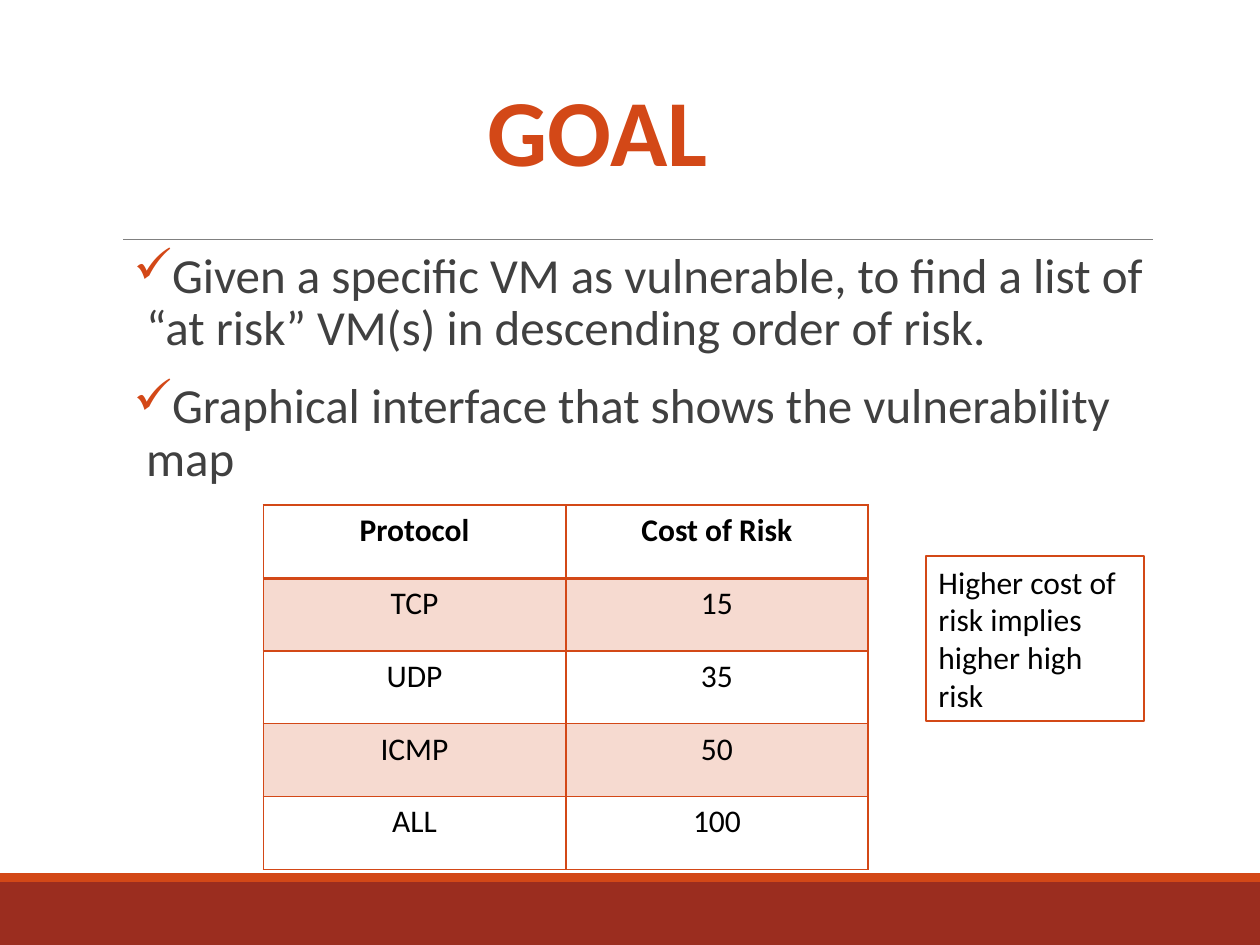
from typing import NamedTuple

from lxml import etree
from pptx import Presentation
from pptx.dml.color import RGBColor
from pptx.enum.shapes import MSO_CONNECTOR, MSO_SHAPE
from pptx.enum.text import MSO_ANCHOR, MSO_AUTO_SIZE, PP_ALIGN
from pptx.oxml.ns import qn
from pptx.util import Inches, Pt

RECT = MSO_SHAPE.RECTANGLE
LINE = MSO_CONNECTOR.STRAIGHT
LEFT, CENTER = PP_ALIGN.LEFT, PP_ALIGN.CENTER
TOP, MIDDLE = MSO_ANCHOR.TOP, MSO_ANCHOR.MIDDLE
GROW = MSO_AUTO_SIZE.SHAPE_TO_FIT_TEXT

ORANGE = RGBColor(0xD3, 0x48, 0x17)
RUST = RGBColor(0x9B, 0x2D, 0x1F)
GRAY = RGBColor(0x80, 0x80, 0x80)
DARK = RGBColor(0x40, 0x40, 0x40)
BLACK = RGBColor(0, 0, 0)
WHITE = RGBColor(0xFF, 0xFF, 0xFF)


class Box(NamedTuple):
    left: float
    top: float
    width: float
    height: float

    def emu(self) -> list[int]:
        return [Inches(side) for side in self]


class Style(NamedTuple):
    size: int
    color: RGBColor
    bold: bool = False
    align: PP_ALIGN = LEFT


class Band(NamedTuple):
    box: Box
    color: RGBColor


BANDS = [Band(Box(0, 7, 10, 0.5), RUST), Band(Box(0, 6.93, 10, 0.07), ORANGE)]
GOALS = [
    "Given a specific VM as vulnerable, to find a list of “at risk” VM(s) in descending order of risk.",
    "Graphical interface that shows the vulnerability map",
]
COSTS = [
    ("Protocol", "Cost of Risk"),
    ("TCP", "15"),
    ("UDP", "35"),
    ("ICMP", "50"),
    ("ALL", "100"),
]


def add_node(parent, tag: str, **attrs: str):
    return etree.SubElement(parent, qn(tag), attrs)


def write(para, text: str, style: Style) -> None:
    para.text = text
    para.alignment = style.align
    for run in para.runs:
        run.font.name = "Calibri"
        run.font.size = Pt(style.size)
        run.font.bold = style.bold
        run.font.color.rgb = style.color


def draw_rect(shapes, box: Box, color: RGBColor):
    shape = shapes.add_shape(RECT, *box.emu())
    shape.shadow.inherit = False
    shape.fill.solid()
    shape.fill.fore_color.rgb = color
    shape.line.fill.background()
    return shape


def draw_rule(shapes) -> None:
    rule = shapes.add_connector(LINE, Inches(0.98), Inches(1.9), Inches(9.15), Inches(1.9))
    rule.line.color.rgb = GRAY
    rule.line.width = Pt(0.5)
    add_node(rule._element.spPr, "a:effectLst")


def draw_title(shapes) -> None:
    frame = shapes.add_textbox(*Box(3.76, 0.52, 1.97, 1.01).emu()).text_frame
    frame.word_wrap = False
    frame.auto_size = GROW
    write(frame.paragraphs[0], "GOAL", Style(54, ORANGE, True, CENTER))


def draw_goals(shapes) -> None:
    frame = shapes.add_textbox(*Box(1.06, 1.94, 8.02, 1.95).emu()).text_frame
    frame.word_wrap = True
    frame.vertical_anchor = TOP
    frame.margin_left = frame.margin_right = 0
    for index, goal in enumerate(GOALS):
        para = frame.add_paragraph() if index else frame.paragraphs[0]
        write(para, goal, Style(28, DARK))
        para.line_spacing = 0.9
        para.space_before, para.space_after = Pt(12), Pt(2)
        props = para._p.get_or_add_pPr()
        props.set("marL", str(Inches(0.1)))
        props.set("indent", str(Inches(-0.1)))
        add_node(add_node(props, "a:buClr"), "a:srgbClr", val=str(ORANGE))
        add_node(props, "a:buChar", char="✓")


def set_edges(cell, base: float) -> None:
    props = cell._tc.get_or_add_tcPr()
    for side, width in (("L", 1), ("R", 1), ("T", 1), ("B", base)):
        edge = add_node(props, f"a:ln{side}", w=str(Pt(width)))
        add_node(add_node(edge, "a:solidFill"), "a:srgbClr", val=str(ORANGE))


def tint(cell) -> None:
    cell.fill.solid()
    cell.fill.fore_color.rgb = ORANGE
    color = cell._tc.tcPr.find(qn("a:solidFill")).find(qn("a:srgbClr"))
    add_node(color, "a:alpha", val="20000")


def draw_costs(shapes) -> None:
    box = Box(2.09, 4.01, 4.8, 2.89)
    table = shapes.add_table(len(COSTS), len(COSTS[0]), *box.emu()).table
    for row, texts in enumerate(COSTS):
        for col, text in enumerate(texts):
            cell = table.cell(row, col)
            write(cell.text_frame.paragraphs[0], text, Style(18, BLACK, row == 0, CENTER))
            set_edges(cell, 2 if row == 0 else 1)
            if row % 2:
                tint(cell)
            else:
                cell.fill.background()


def draw_note(shapes) -> None:
    note = draw_rect(shapes, Box(7.35, 4.41, 1.73, 1.31), WHITE)
    note.line.color.rgb = ORANGE
    note.line.width = Pt(1.25)
    frame = note.text_frame
    frame.word_wrap = True
    frame.auto_size = GROW
    frame.vertical_anchor = MIDDLE
    write(frame.paragraphs[0], "Higher cost of risk implies higher high risk", Style(18, BLACK))


def main() -> None:
    """Build the slide on the goal and the cost of risk."""
    deck = Presentation()
    deck.slide_width, deck.slide_height = Inches(10), Inches(7.5)
    shapes = deck.slides.add_slide(deck.slide_layouts[6]).shapes
    for band in BANDS:
        draw_rect(shapes, band.box, band.color)
    draw_rule(shapes)
    draw_goals(shapes)
    draw_title(shapes)
    draw_costs(shapes)
    draw_note(shapes)
    deck.save("out.pptx")


if __name__ == "__main__":
    main()
